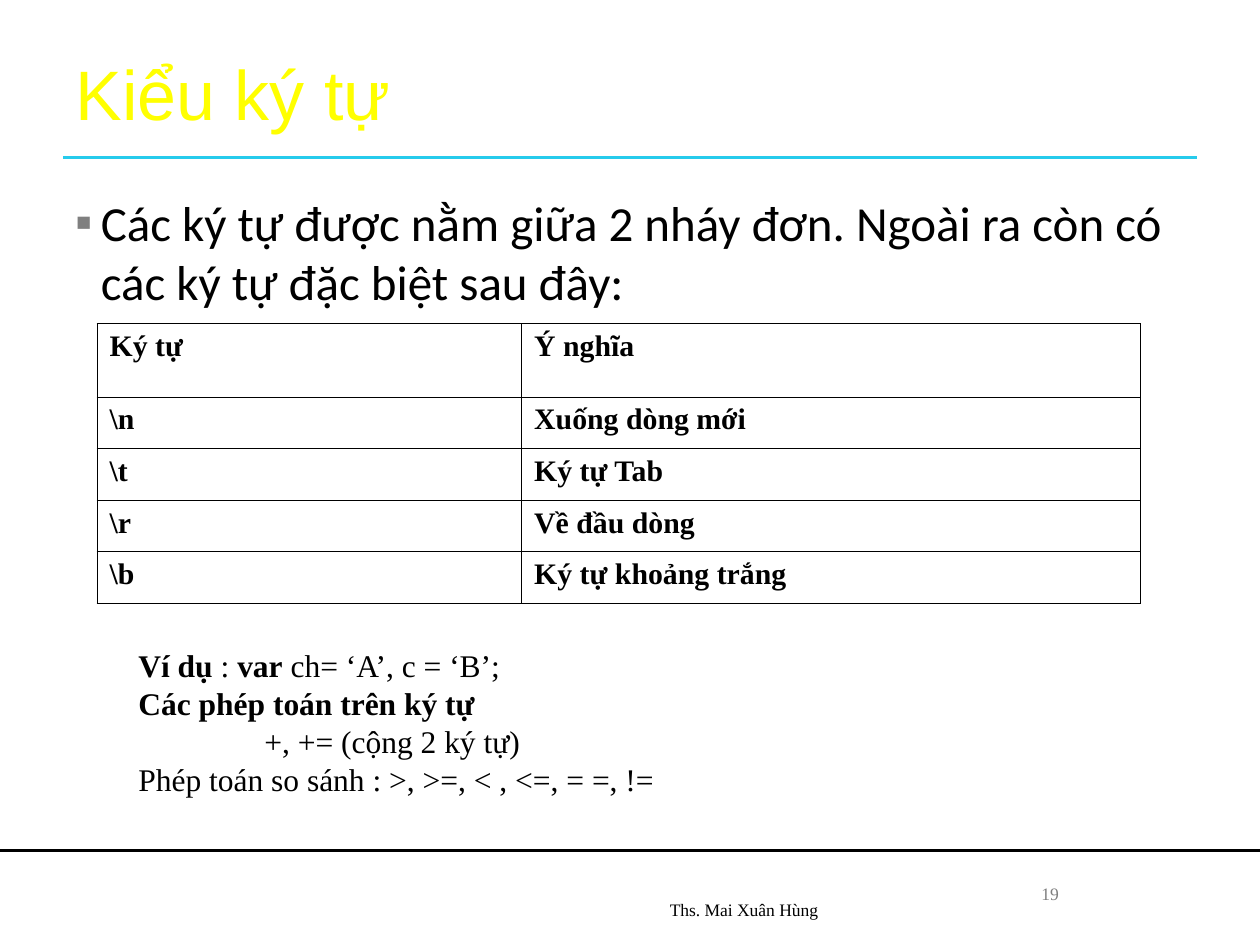
from dataclasses import dataclass

from lxml import etree
from pptx import Presentation, util as u
from pptx.dml import color as c
from pptx.enum import shapes as s, text as t
from pptx.oxml import ns, parse_xml

HUES = {"ink": "000000", "rule": "26CBEC", "title": "FFFF00", "gray": "7F7F7F"}
SERIF = "Times New Roman"
A = ns.nsdecls("a")


@dataclass
class Rule:
    left: float
    right: float
    top: float
    hue: str
    width: float


@dataclass
class Note:
    box: tuple
    lines: list  # each line is a list of (text, bold) runs
    size: float
    hue: str = "ink"
    align: t.PP_ALIGN = t.PP_ALIGN.LEFT
    anchor: t.MSO_ANCHOR = t.MSO_ANCHOR.TOP


def rgb(hue: str) -> c.RGBColor:
    return c.RGBColor.from_string(HUES[hue])


def place(shape, box: tuple) -> None:
    for name, value in zip(("left", "top", "width", "height"), box):
        setattr(shape, name, u.Inches(value))


def style(item, form: dict) -> None:
    for name, value in form.items():
        setattr(item, name, value)


def add_run(para, words: str, size: float, face: str, hue: str, bold: bool = False) -> None:
    run = para.add_run()
    run.text = words
    style(run.font, {"size": u.Pt(size), "name": face, "bold": bold})
    run.font.color.rgb = rgb(hue)


def indent(para, left: float, first: float = 0):
    props = para._p.get_or_add_pPr()
    props.set("marL", str(u.Inches(left)))
    props.set("indent", str(u.Inches(first)))
    return props


def add_rule(slide, rule: Rule) -> None:
    ends = [u.Inches(n) for n in (rule.left, rule.top, rule.right, rule.top)]
    line = slide.shapes.add_connector(s.MSO_CONNECTOR.STRAIGHT, *ends)
    line.line.color.rgb = rgb(rule.hue)
    line.line.width = u.Pt(rule.width)
    etree.SubElement(line._element.spPr, ns.qn("a:effectLst"))


def add_note(slide, note: Note):
    frame = slide.shapes.add_textbox(*map(u.Inches, note.box)).text_frame
    style(frame, {"word_wrap": True, "vertical_anchor": note.anchor})
    for i, line in enumerate(note.lines):
        para = frame.add_paragraph() if i else frame.paragraphs[0]
        para.alignment = note.align
        for words, bold in line:
            add_run(para, words, note.size, SERIF, note.hue, bold)
    return frame


def fill_holder(holder, box: tuple, words: str, size: float, face: str, hue: str):
    place(holder, box)
    frame = holder.text_frame
    style(frame, {"word_wrap": True, "vertical_anchor": t.MSO_ANCHOR.MIDDLE,
                  "auto_size": t.MSO_AUTO_SIZE.NONE})
    para = frame.paragraphs[0]
    para.alignment = t.PP_ALIGN.LEFT
    add_run(para, words, size, face, hue)
    return para


def add_grid(slide, box: tuple, cols: list, rows: list, cells: list) -> None:
    grid = slide.shapes.add_table(len(rows), len(cols), *map(u.Inches, box)).table
    style(grid, {"first_row": False, "horz_banding": False})
    for col, width in zip(grid.columns, cols):
        col.width = u.Inches(width)
    for row, height, texts in zip(grid.rows, rows, cells):
        row.height = u.Inches(height)
        for cell, words in zip(row.cells, texts):
            para = cell.text_frame.paragraphs[0]
            para.alignment = t.PP_ALIGN.JUSTIFY
            indent(para, 0.38, -0.38)
            add_run(para, words, 17, SERIF, "ink", True)
            cell.fill.background()
            props = cell._tc.get_or_add_tcPr()
            for i, side in enumerate("LRTB"):
                props.insert(i, parse_xml(
                    f'<a:ln{side} {A} w="{u.Pt(0.45)}"><a:solidFill>'
                    f'<a:srgbClr val="{HUES["ink"]}"/></a:solidFill></a:ln{side}>'))


deck = Presentation()
style(deck, {"slide_width": u.Inches(10), "slide_height": u.Inches(7.5)})
slide = deck.slides.add_slide(deck.slide_layouts[1])

# Rules
for rule in (Rule(0, 10, 6.75, "ink", 2.24), Rule(0.5, 9.5, 1.25, "rule", 1.5)):
    add_rule(slide, rule)

# Title and bullet
fill_holder(slide.shapes.title, (0.5, 0.3, 9, 0.87), "Kiểu ký tự", 40, "Arial", "title")
point = fill_holder(
    slide.placeholders[1], (0.5, 1.42, 9, 1.15),
    "Các ký tự được nằm giữa 2 nháy đơn. Ngoài ra còn có các ký tự đặc biệt sau đây:",
    28, "Calibri", "ink")
point.space_before = u.Pt(7)
props = indent(point, 0.2, -0.2)
for mark in (f'<a:buClr {A}><a:srgbClr val="{HUES["gray"]}"/></a:buClr>',
             f'<a:buFont {A} typeface="Arial"/>', f'<a:buChar {A} char="▪"/>'):
    props.append(parse_xml(mark))

# Table of special characters
add_grid(slide, (0.77, 2.57, 8.28, 2.22), [3.37, 4.91], [0.58] + [0.41] * 4, [
    ("Ký tự", "Ý nghĩa"),
    ("\\n", "Xuống dòng mới"),
    ("\\t", "Ký tự Tab"),
    ("\\r", "Về đầu dòng"),
    ("\\b", "Ký tự khoảng trắng"),
])

# Footer and example
add_note(slide, Note((7.17, 6.83, 2.33, 0.52), [[("19", False)]], 10, "gray",
                     t.PP_ALIGN.CENTER, t.MSO_ANCHOR.MIDDLE))
add_note(slide, Note((3.42, 6.83, 3.17, 0.52), [[("Ths. Mai Xuân Hùng", False)]], 10,
                     align=t.PP_ALIGN.RIGHT, anchor=t.MSO_ANCHOR.BOTTOM))
demo = add_note(slide, Note((1, 5.08, 8.17, 1.3), [
    [("Ví dụ ", True), (": ", False), ("var", True), (" ch= ‘A’, c = ‘B’;", False)],
    [("Các phép toán trên ký tự", True)],
    [("+, += (cộng 2 ký tự)", False)],
    [("Phép toán so sánh : >, >=, < , <=, = =, !=", False)],
], 18))
indent(demo.paragraphs[2], 1)

deck.save("out.pptx")
